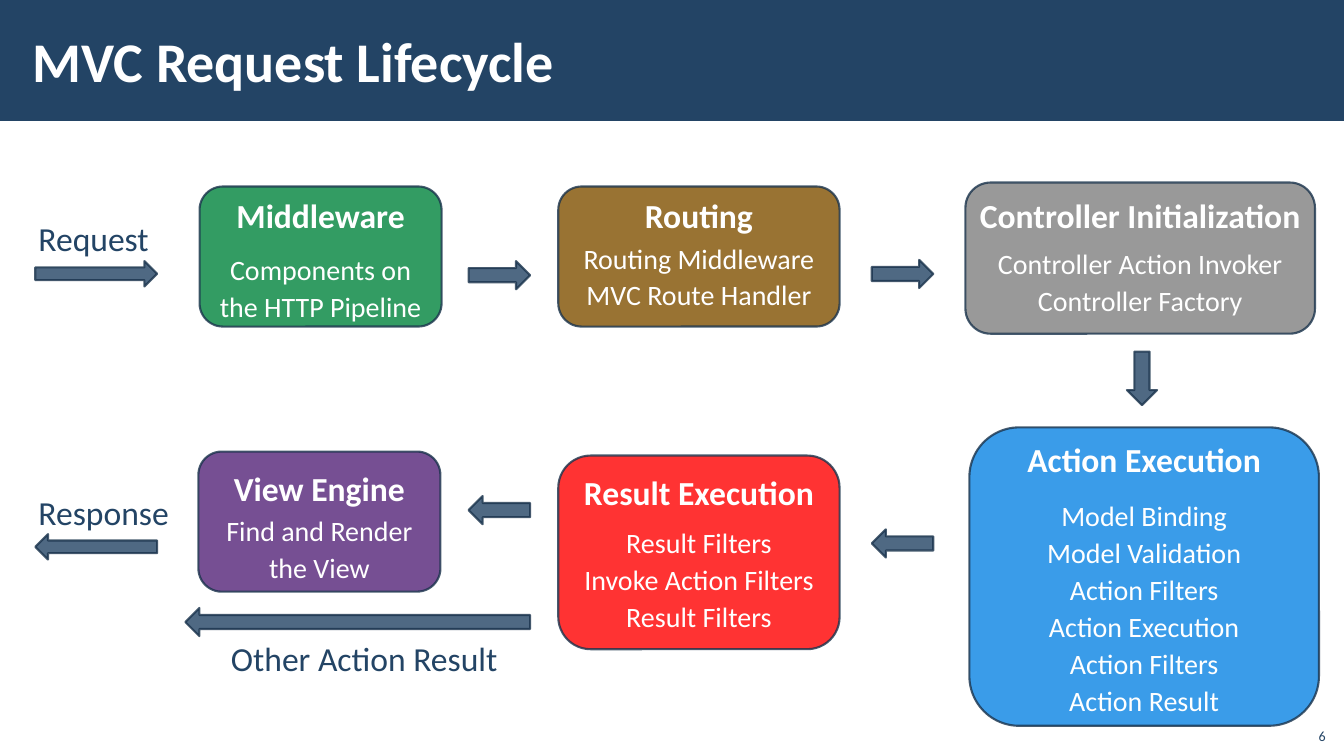
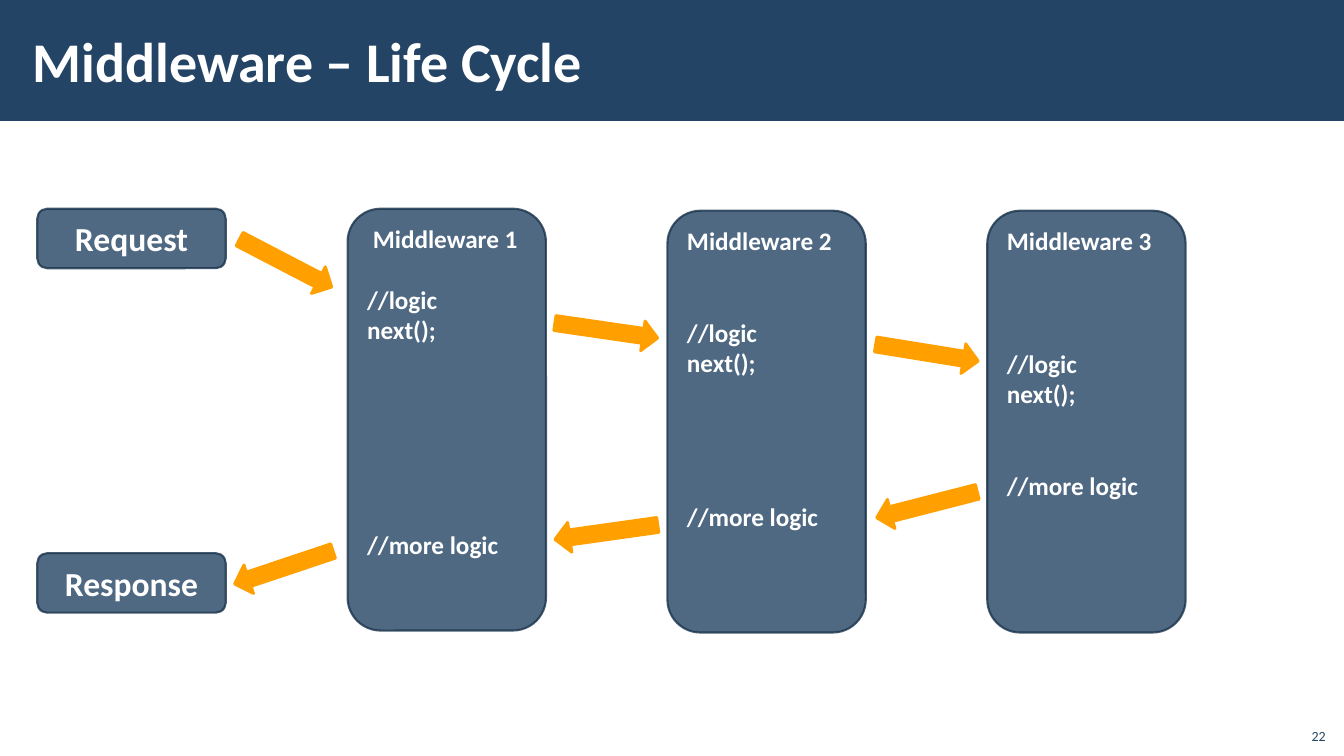
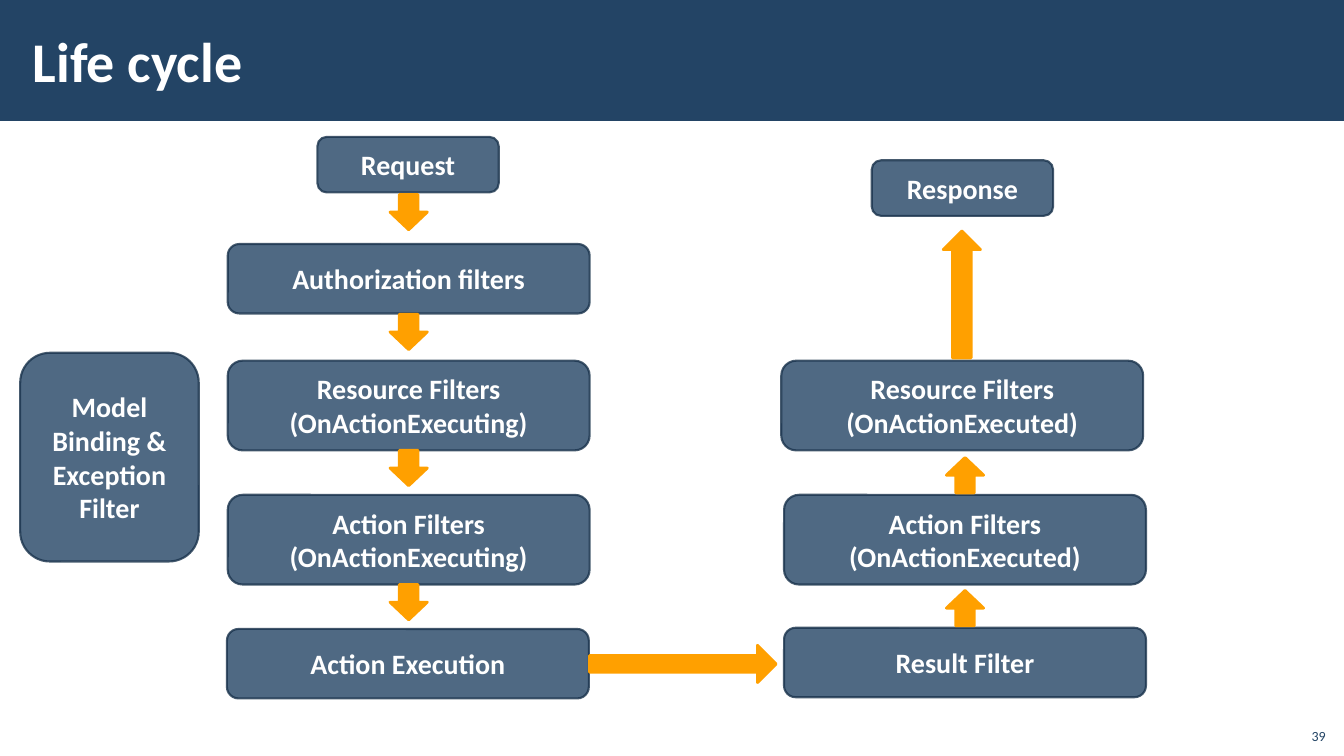
"""Build three slides on the MVC request, middleware and filter life cycles."""
from dataclasses import dataclass

from lxml import etree
from pptx import Presentation
from pptx.dml.color import RGBColor
from pptx.enum import shapes, text
from pptx.oxml.ns import qn
from pptx.util import Cm, Pt

KIND = shapes.MSO_SHAPE
ALIGN = text.PP_ALIGN
ANCHOR = text.MSO_ANCHOR


@dataclass(frozen=True)
class Theme:
    font: str = "Calibri"
    navy: str = "234465"
    outline: str = "1A334C"
    white: str = "FFFFFF"
    orange: str = "FFA000"
    green: str = "00843C"
    brown: str = "805000"
    grey: str = "808080"
    blue: str = "0984E4"
    red: str = "FF0000"
    purple: str = "542478"
    title: int = 40
    large: int = 24
    medium: int = 20
    code: int = 18
    small: int = 10
    opacity: str = "80000"
    line_spacing: float = 1.1


THEME = Theme()
SLIDE_SIZE = (33.87, 19.05)
BAND = (0, 0, 33.87, 3.05)
TITLE = (0.53, 0.28, 27, 2.46)
PAGE_NUMBER = (32.64, 18.08, 1.02, 0.81)
TITLE_INSETS = (0.3, 0.1)
LABEL_INSETS = (0.41, 0.3)
LABEL_HEIGHT = 1.68

# label, box, align
REQUEST_LABELS = [
    ("Request", (0.56, 5.08, 3.78), ALIGN.LEFT),
    ("Response", (0.56, 11.99, 4.17), ALIGN.LEFT),
    ("Other Action Result", (5, 15.67, 8.36), ALIGN.CENTER),
]
REQUEST_CARDS = [
    ("Middleware", "Components on the HTTP Pipeline", THEME.green,
     (5.03, 4.7, 6.1, 3.53), (4.52, 5.49), (5.97, 5.97, 2.44)),
    ("Routing", "Routing Middleware\nMVC Route Handler", THEME.brown,
     (14.07, 4.7, 7.09, 3.53), (4.52, 6.38), (5.69, 6.96, 2.44)),
    ("Controller Initialization", "Controller Action Invoker\nController Factory", THEME.grey,
     (24.33, 4.6, 8.81, 3.81), (4.52, 9.04), (5.84, 8, 2.44)),
    ("Action Execution",
     "Model Binding\nModel Validation\nAction Filters\nAction Execution\nAction Filters\nAction Result",
     THEME.blue, (24.43, 10.77, 8.81, 7.52), (10.67, 9.04), (12.19, 8, 6.2)),
    ("Result Execution", "Result Filters\nInvoke Action Filters\nResult Filters", THEME.red,
     (14.07, 11.48, 7.09, 4.88), (11.48, 6.63), (12.85, 6.63, 3.38)),
    ("View Engine", "Find and Render\nthe View", THEME.purple,
     (5, 11.38, 6.1, 3.53), (11.38, 5.18), (12.55, 5.97, 2.44)),
]
REQUEST_ARROWS = [
    (KIND.RIGHT_ARROW, (0.89, 6.58, 3.07, 0.64)),
    (KIND.RIGHT_ARROW, (11.81, 6.58, 1.55, 0.71)),
    (KIND.RIGHT_ARROW, (21.97, 6.55, 1.55, 0.71)),
    (KIND.DOWN_ARROW, (28.4, 8.86, 0.76, 1.35)),
    (KIND.LEFT_ARROW, (21.97, 13.34, 1.55, 0.71)),
    (KIND.LEFT_ARROW, (11.81, 12.5, 1.55, 0.71)),
    (KIND.LEFT_ARROW, (4.67, 15.32, 8.69, 0.71)),
    (KIND.LEFT_ARROW, (0.89, 13.46, 3.07, 0.64)),
]

MIDDLEWARE_ENDS = [("Request", 5.26), ("Response", 13.94)]
MIDDLEWARE_TOPS = [5.26, 5.31, 5.31]
MIDDLEWARE_LEFT, MIDDLEWARE_PITCH = 8.76, 8.06
CODE_LINE = 22
MIDDLEWARE_ARROWS = [
    (5.89, 6.25, 27.5), (13.97, 7.95, 8.3), (22.05, 8.51, 9.2),
    (22.05, 12.34, 165.6), (13.97, 13.03, 172), (5.84, 13.92, 161.5),
]

FILTER_BOXES = [
    ("Request", (8, 3.45, 4.57, 1.4)),
    ("Authorization filters", (5.74, 6.15, 9.12, 1.75)),
    ("Resource Filters\n(OnActionExecuting)", (5.74, 9.09, 9.12, 2.26)),
    ("Action Filters\n(OnActionExecuting)", (5.74, 12.47, 9.12, 2.26)),
    ("Action Execution", (5.72, 15.85, 9.12, 1.75)),
    ("Model Binding &\nException Filter", (0.51, 8.89, 4.5, 5.26)),
    ("Result Filter", (19.76, 15.82, 9.12, 1.75)),
    ("Action Filters\n(OnActionExecuted)", (19.76, 12.47, 9.12, 2.26)),
    ("Resource Filters\n(OnActionExecuted)", (19.69, 9.09, 9.12, 2.26)),
    ("Response", (21.97, 4.04, 4.57, 1.4)),
]
FILTER_ARROWS = [
    *[(KIND.DOWN_ARROW, (9.83, top, 0.94, 0.89)) for top in (4.9, 7.92, 11.35, 14.73)],
    *[(KIND.UP_ARROW, (23.85, top, 0.94, 0.89)) for top in (14.88, 11.53)],
    (KIND.UP_ARROW, (23.77, 5.82, 0.94, 3.2)),
]
EXECUTION_ARROW = (14.86, 16.26, 4.7, 0.94)


def write(shape, content, size, color=THEME.white, bold=False,
          align=ALIGN.CENTER, anchor=ANCHOR.MIDDLE, insets=None, spacing=None):
    frame = shape.text_frame
    frame.text = content
    frame.word_wrap = True
    frame.vertical_anchor = anchor
    if insets:
        frame.margin_left = frame.margin_right = Cm(insets[0])
        frame.margin_top = frame.margin_bottom = Cm(insets[1])
    for paragraph in frame.paragraphs:
        paragraph.alignment = align
        if spacing:
            paragraph.line_spacing = spacing
        for run in paragraph.runs:
            run.font.name = THEME.font
            run.font.size = Pt(size)
            run.font.bold = bold
            run.font.color.rgb = RGBColor.from_string(color)


def add_text(slide, box, content, size, **style):
    write(slide.shapes.add_textbox(*map(Cm, box)), content, size, **style)


def add_label(slide, box, content, size, **style):
    add_text(slide, box, content, size, anchor=ANCHOR.TOP, insets=LABEL_INSETS,
             spacing=THEME.line_spacing, **style)


def add_solid(slide, kind, box, fill, line=None, width=0):
    shape = slide.shapes.add_shape(kind, *map(Cm, box))
    shape.shadow.inherit = False
    shape.fill.solid()
    shape.fill.fore_color.rgb = RGBColor.from_string(fill)
    if line:
        shape.line.color.rgb = RGBColor.from_string(line)
        shape.line.width = Pt(width)
    else:
        shape.line.fill.background()
    return shape


def add_translucent(slide, kind, box, fill=THEME.navy):
    shape = add_solid(slide, kind, box, fill, THEME.outline, 1.5)
    for color in shape.element.spPr.iter(qn("a:srgbClr")):
        etree.SubElement(color, qn("a:alpha")).set("val", THEME.opacity)
    return shape


def add_orange_arrow(slide, kind, box):
    return add_solid(slide, kind, box, THEME.orange, THEME.orange, 2)


def add_slide(presentation, title, number):
    slide = presentation.slides.add_slide(presentation.slide_layouts[6])
    add_solid(slide, KIND.RECTANGLE, BAND, THEME.navy)
    add_text(slide, TITLE, title, THEME.title, bold=True, align=ALIGN.LEFT, insets=TITLE_INSETS)
    add_text(slide, PAGE_NUMBER, str(number), THEME.small, color=THEME.navy,
             align=ALIGN.RIGHT, anchor=ANCHOR.BOTTOM)
    return slide


def build_request(presentation):
    slide = add_slide(presentation, "MVC Request Lifecycle", 6)
    for label, box, align in REQUEST_LABELS:
        add_label(slide, (*box, LABEL_HEIGHT), label, THEME.large, color=THEME.navy, align=align)
    for heading, body, fill, box, (head_top, head_width), (body_top, body_width, body_height) in REQUEST_CARDS:
        add_translucent(slide, KIND.ROUNDED_RECTANGLE, box, fill)
        center = box[0] + box[2] / 2
        add_label(slide, (center - head_width / 2, head_top, head_width, LABEL_HEIGHT),
                  heading, THEME.large, bold=True)
        add_label(slide, (center - body_width / 2, body_top, body_width, body_height),
                  body, THEME.medium)
    for kind, box in REQUEST_ARROWS:
        add_translucent(slide, kind, box)


def build_middleware(presentation):
    slide = add_slide(presentation, "Middleware – Life Cycle", 22)
    for label, top in MIDDLEWARE_ENDS:
        shape = add_translucent(slide, KIND.ROUNDED_RECTANGLE, (0.94, top, 4.75, 1.5))
        write(shape, label, THEME.large, bold=True)
    for index, top in enumerate(MIDDLEWARE_TOPS):
        number = index + 1
        left = MIDDLEWARE_LEFT + index * MIDDLEWARE_PITCH
        column = add_translucent(slide, KIND.ROUNDED_RECTANGLE, (left, top, 5, 10.63))
        indent = " " if index == 0 else ""
        write(column, f"{indent}Middleware {number}\n//logic\nnext();\n//more logic",
              THEME.code, bold=True, align=ALIGN.LEFT, anchor=ANCHOR.TOP)
        heading, logic, call, more = column.text_frame.paragraphs
        logic.space_before = Pt(number * CODE_LINE)
        more.space_before = Pt((8 - 2 * number) * CODE_LINE)
    for left, top, angle in MIDDLEWARE_ARROWS:
        add_orange_arrow(slide, KIND.RIGHT_ARROW, (left, top, 2.62, 0.76)).rotation = angle


def build_filters(presentation):
    slide = add_slide(presentation, "Life cycle", 39)
    for label, box in FILTER_BOXES:
        write(add_translucent(slide, KIND.ROUNDED_RECTANGLE, box), label, THEME.medium, bold=True)
    for kind, box in FILTER_ARROWS:
        add_orange_arrow(slide, kind, box)
    add_orange_arrow(slide, KIND.RIGHT_ARROW, EXECUTION_ARROW).adjustments[0] = 0.45


def main():
    presentation = Presentation()
    presentation.slide_width, presentation.slide_height = map(Cm, SLIDE_SIZE)
    build_request(presentation)
    build_middleware(presentation)
    build_filters(presentation)
    presentation.save("out.pptx")


if __name__ == "__main__":
    main()
